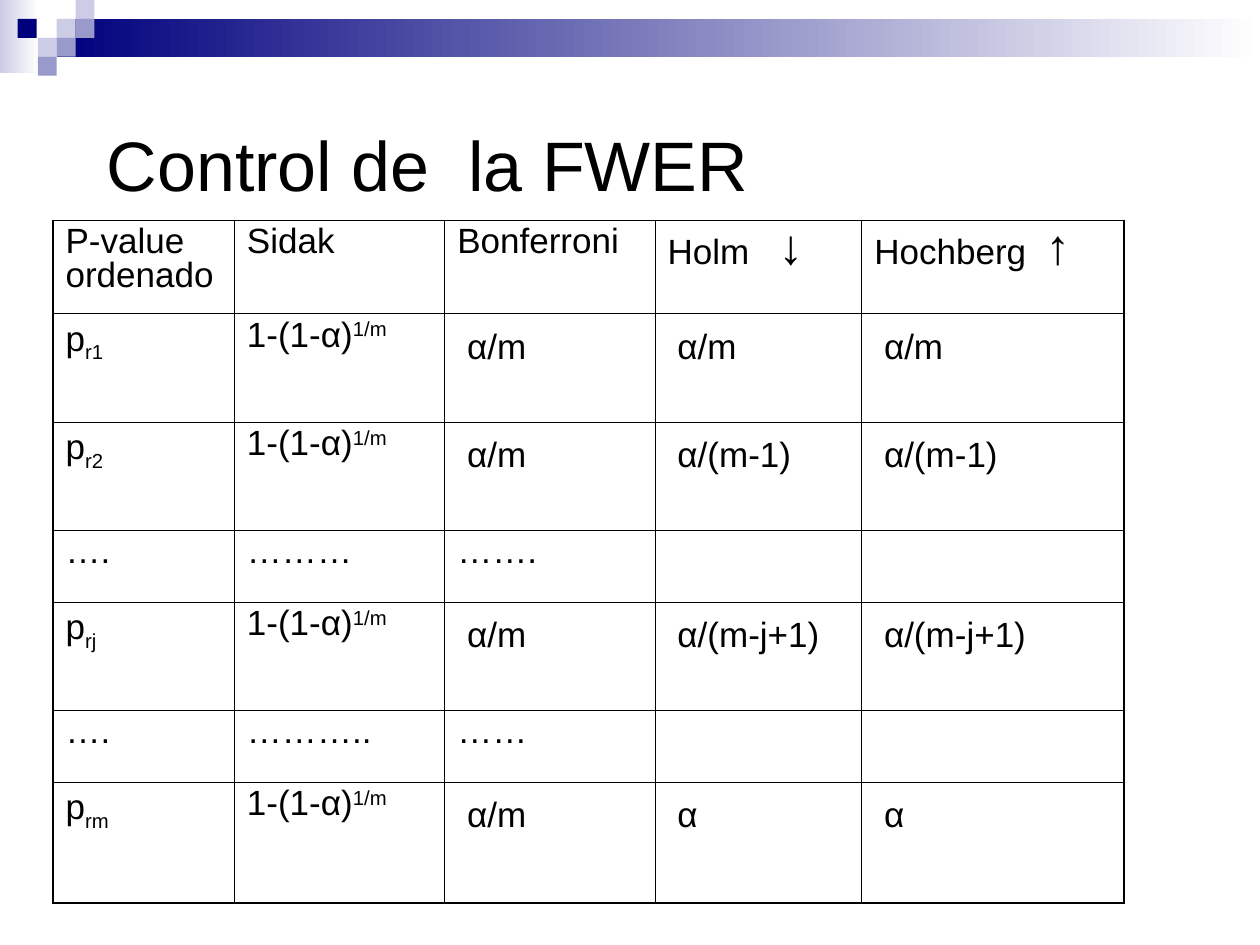
from pptx import Presentation
from pptx.dml.color import RGBColor
from pptx.enum.shapes import MSO_SHAPE
from pptx.enum.text import MSO_ANCHOR
from pptx.oxml.ns import qn
from pptx.util import Inches, Pt
from lxml.etree import SubElement

COLORS = {"black": "000000", "white": "FFFFFF", "navy": "00007D",
          "pale": "CCCCE6", "lavender": "9999CC"}


def add_block(page, left, top, width, height, color, fade=False):
    block = page.shapes.add_shape(MSO_SHAPE.RECTANGLE, Inches(left), Inches(top),
                                  Inches(width), Inches(height))
    block.shadow.inherit = False
    block.line.fill.background()
    if fade:
        block.fill.gradient()
        block.fill.gradient_angle = 180
        for stop, name in zip(block.fill.gradient_stops, ("white", color)):
            stop.color.rgb = RGBColor.from_string(COLORS[name])
    else:
        block.fill.solid()
        block.fill.fore_color.rgb = RGBColor.from_string(COLORS[color])


def add_span(para, text, size, baseline=0):
    span = para.add_run()
    span.text = text
    span.font.name = "Arial"
    span.font.size = Pt(size)
    span.font.color.rgb = RGBColor.from_string(COLORS["black"])
    if baseline:
        span._r.get_or_add_rPr().set("baseline", str(baseline * 1000))


deck = Presentation()
deck.slide_width, deck.slide_height = Inches(10), Inches(7.5)
page = deck.slides.add_slide(deck.slide_layouts[6])

# Header bands and mosaic
add_block(page, 0, 0, 0.31, 0.58, "pale", fade=True)
add_block(page, 0.45, 0.15, 9.55, 0.3, "navy", fade=True)
for left, top, color in [(0.45, 0.15, "pale"), (0.6, 0, "pale"),
                         (0.6, 0.15, "lavender"), (0.3, 0.3, "pale"),
                         (0.14, 0.15, "navy"), (0.45, 0.3, "lavender"),
                         (0.3, 0.45, "lavender")]:
    add_block(page, left, top, 0.15, 0.15, color)

# Title
title = page.shapes.add_textbox(Inches(0.75), Inches(0.67), Inches(8.5), Inches(1.25))
title.text_frame.word_wrap = True
title.text_frame.vertical_anchor = MSO_ANCHOR.MIDDLE
add_span(title.text_frame.paragraphs[0], "Control de  la FWER", 40)

# Table content: "_" starts a subscript, "^" a superscript, a tab the large arrow
sidak = "1-(1-α)^1/m"
rows = [
    ["P-value ordenado", "Sidak", "Bonferroni", "Holm\t↓", "Hochberg\t↑"],
    ["p_r1", sidak, " α/m", " α/m", " α/m"],
    ["p_r2", sidak, " α/m", " α/(m-1)", " α/(m-1)"],
    ["….", "………", "…….", "", ""],
    ["p_rj", sidak, " α/m", " α/(m-j+1)", " α/(m-j+1)"],
    ["….", "………..", "……", "", ""],
    ["p_rm", sidak, " α/m", " α", " α"],
]
column_widths = [1.44, 1.67, 1.67, 1.64, 2.08]
row_heights = [0.74, 0.86, 0.86, 0.57, 0.86, 0.57, 0.96]
arrow_stops = {3: 0.88, 4: 1.36}
markers = {"_": -25, "^": 30}
last_row, last_column = len(rows) - 1, len(column_widths) - 1

table = page.shapes.add_table(len(rows), len(column_widths), Inches(0.42), Inches(1.75),
                              Inches(sum(column_widths)), Inches(sum(row_heights))).table
table.first_row = table.horz_banding = False
for column, width in zip(table.columns, column_widths):
    column.width = Inches(width)
for row, height in zip(table.rows, row_heights):
    row.height = Inches(height)

for r, texts in enumerate(rows):
    for c, text in enumerate(texts):
        cell = table.cell(r, c)

        # Thicker borders on the outer edge
        properties = cell._tc.get_or_add_tcPr()
        for side, outer in [("L", c == 0), ("R", c == last_column),
                            ("T", r == 0), ("B", r == last_row)]:
            border = SubElement(properties, qn(f"a:ln{side}"),
                                w=str(Pt(1.08 if outer else 0.45)))
            fill = SubElement(border, qn("a:solidFill"))
            SubElement(fill, qn("a:srgbClr"), val=COLORS["black"])
        cell.fill.background()

        # Cell text
        para = cell.text_frame.paragraphs[0]
        para.line_spacing = 1.19 if text.startswith(" ") else 0.87
        if "\t" in text:
            label, arrow = text.split("\t")
            tabs = SubElement(para._p.get_or_add_pPr(), qn("a:tabLst"))
            SubElement(tabs, qn("a:tab"), pos=str(Inches(arrow_stops[c])), algn="l")
            add_span(para, label + "\t", 20)
            add_span(para, arrow, 28)
            continue
        marker = next((m for m in markers if m in text), None)
        base, _, script = text.partition(marker) if marker else (text, "", "")
        if base:
            add_span(para, base, 20)
        if script:
            add_span(para, script, 20, markers[marker])

deck.save("out.pptx")
